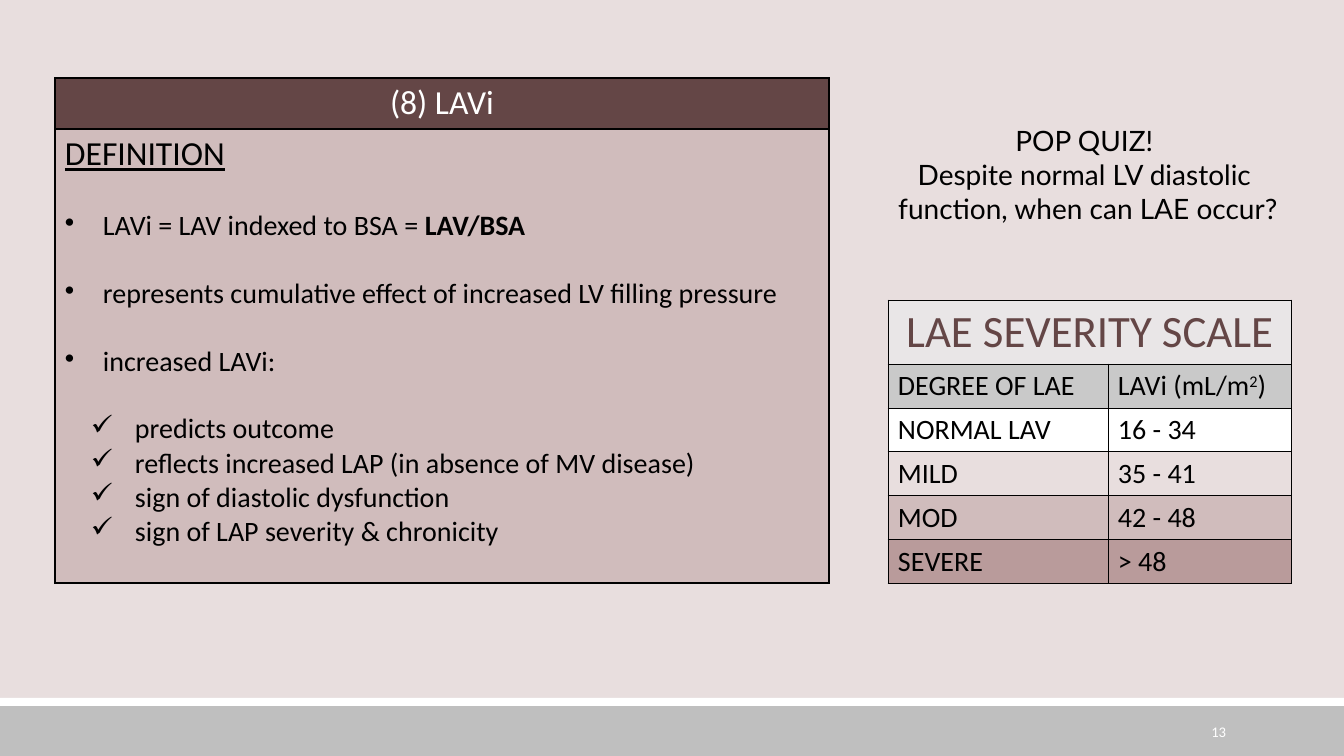
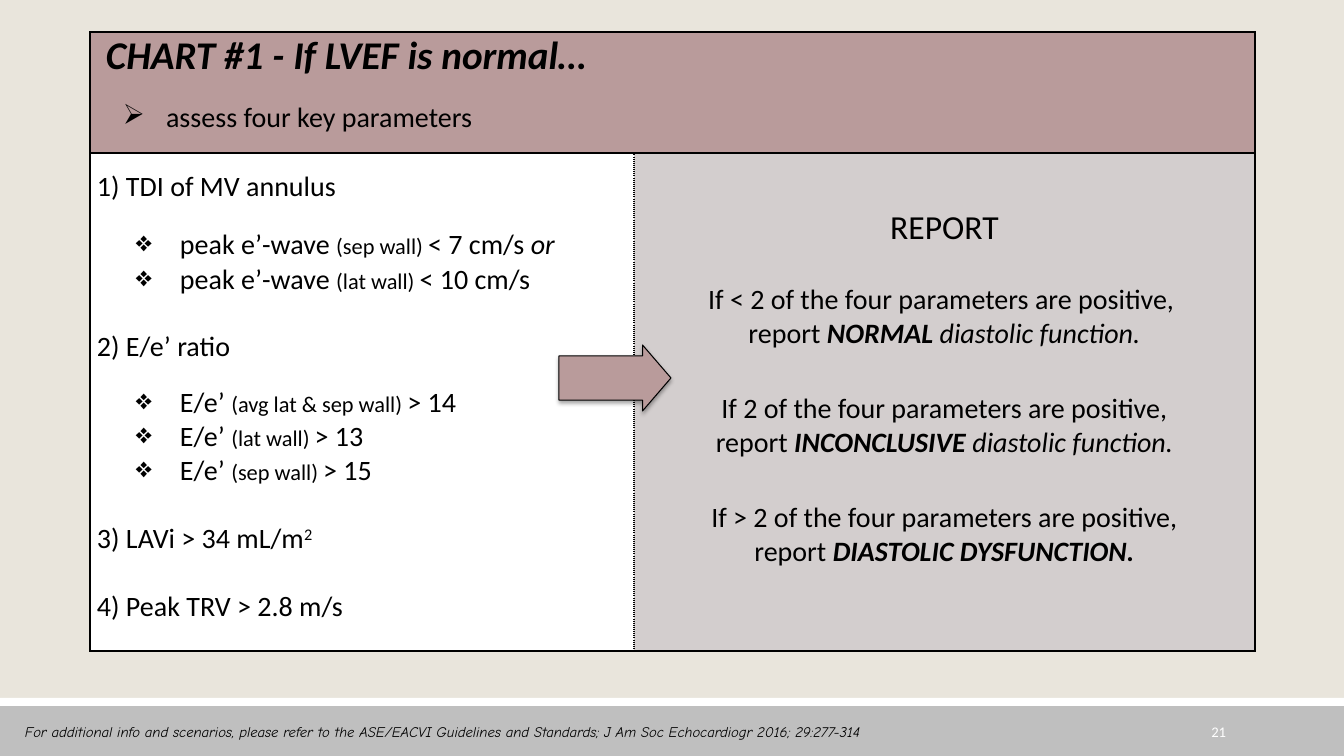
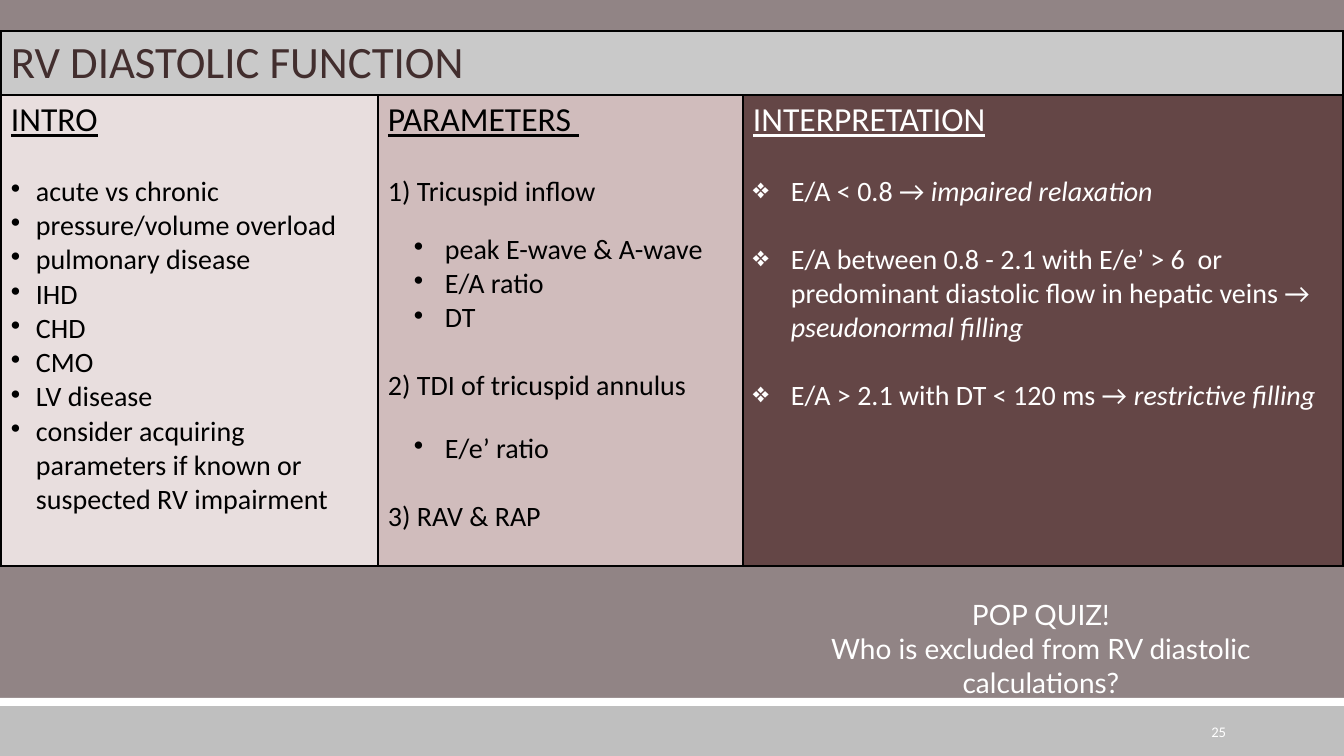
from lxml import etree
from pptx import Presentation
from pptx.dml.color import RGBColor
from pptx.enum.shapes import MSO_SHAPE
from pptx.enum.text import MSO_ANCHOR, PP_ALIGN
from pptx.oxml.ns import qn
from pptx.util import Emu, Pt

RECT = MSO_SHAPE.RECTANGLE
ARROW = MSO_SHAPE.RIGHT_ARROW
MIDDLE = MSO_ANCHOR.MIDDLE
CENTER = PP_ALIGN.CENTER
RIGHT = PP_ALIGN.RIGHT

SCALE = 914400 / 100.8
WIDTH, HEIGHT = 1344, 756
LINE_HEIGHT = 1.22
SMALL = {"size": 16}
BOLD = {"bold": True}
ITALIC = {"italic": True}
BOLD_ITALIC = {"bold": True, "italic": True}
SUPER = {"baseline": 30000}

C = {
    "black": "000000",
    "white": "FFFFFF",
    "band": "BFBFBF",
    "silver": "C9C9C9",
    "pale": "E9E6E7",
    "report": "D3CECE",
    "blush": "E8DEDE",
    "rose": "D0BCBC",
    "mauve": "B99B9B",
    "wine": "644646",
    "dark": "422E2E",
    "sand": "E9E5DC",
    "taupe": "918485",
}


def px(n):
    return Emu(round(n * SCALE))


def rgb(name):
    return RGBColor.from_string(C[name])


def add_xml(parent, tag, **attrs):
    el = etree.SubElement(parent, qn(tag))
    for key, value in attrs.items():
        el.set(key, str(value))
    return el


def add_text(tf, text, size=20, color="black", font="Calibri", align=None,
             bullet=None, left=0, hang=0, gap=0, **style):
    p = tf.paragraphs[0]
    if p.runs:
        p = tf.add_paragraph()
    pPr = p._p.get_or_add_pPr()
    pPr.set("marL", str(px(left)))
    pPr.set("indent", str(-px(hang)))
    if bullet:
        add_xml(pPr, "a:buChar", char=bullet)
    if align is not None:
        p.alignment = align
    if gap:
        p.space_before = Pt(round(gap * LINE_HEIGHT))
    for part in [text] if isinstance(text, str) else text:
        words, extra = (part, {}) if isinstance(part, str) else part
        fmt = {"size": size, **style, **extra}
        r = p.add_run()
        r.text = words
        r.font.name = font
        r.font.size = Pt(fmt["size"])
        r.font.color.rgb = rgb(color)
        r.font.bold = fmt.get("bold", False)
        r.font.italic = fmt.get("italic", False)
        r.font.underline = fmt.get("underline", False)
        if "baseline" in fmt:
            r._r.get_or_add_rPr().set("baseline", str(fmt["baseline"]))


def add_items(tf, items, gap=0, **fmt):
    for i, item in enumerate(items):
        add_text(tf, item, gap=0 if i else gap, **fmt)


def add_box(s, x, y, w, h):
    tf = s.shapes.add_textbox(px(x), px(y), px(w), px(h)).text_frame
    tf.word_wrap = True
    return tf


def add_rect(s, y, h, color):
    sp = s.shapes.add_shape(RECT, 0, px(y), px(WIDTH), px(h))
    sp.shadow.inherit = False
    sp.fill.solid()
    sp.fill.fore_color.rgb = rgb(color)
    sp.line.fill.background()


def add_base(prs, background, number):
    s = prs.slides.add_slide(prs.slide_layouts[6])
    s.background.fill.solid()
    s.background.fill.fore_color.rgb = rgb(background)
    add_rect(s, 706, 50, "band")
    add_rect(s, 698, 8, "white")
    tf = add_box(s, 1092, 712, 144, 40)
    tf.vertical_anchor = MIDDLE
    add_text(tf, number, size=10.5, color="white", align=RIGHT)
    return s


def add_border(cell, width=1, dotted=""):
    tcPr = cell._tc.get_or_add_tcPr()
    for side in "LRTB":
        is_dotted = side == dotted
        ln = add_xml(tcPr, "a:ln" + side, w=Pt(2.25 if is_dotted else width))
        add_xml(add_xml(ln, "a:solidFill"), "a:srgbClr", val=C["black"])
        add_xml(ln, "a:prstDash", val="sysDot" if is_dotted else "solid")


def add_grid(s, x, y, cols, rows, fills, border=1, margins=(10, 5), dotted=None):
    table = s.shapes.add_table(len(rows), len(cols), px(x), px(y),
                               px(sum(cols)), px(sum(rows))).table
    table.first_row = table.horz_banding = False
    for col, w in zip(table.columns, cols):
        col.width = px(w)
    for row, h in zip(table.rows, rows):
        row.height = px(h)
    for i, row_fills in enumerate(fills):
        for j in range(len(cols)):
            cell = table.cell(i, j)
            add_border(cell, border, (dotted or {}).get((i, j), ""))
            cell.fill.solid()
            cell.fill.fore_color.rgb = rgb(row_fills[j % len(row_fills)])
            cell.margin_left = cell.margin_right = px(margins[0])
            cell.margin_top = cell.margin_bottom = px(margins[1])
    if len(cols) > 1:
        table.cell(0, 0).merge(table.cell(0, len(cols) - 1))
    return table


def add_arrow(s, x, y, w, h):
    sp = s.shapes.add_shape(ARROW, px(x), px(y), px(w), px(h))
    sp.adjustments[0], sp.adjustments[1] = 0.67, 0.43
    sp.fill.solid()
    sp.fill.fore_color.rgb = rgb("mauve")
    sp.line.color.rgb = rgb("black")
    sp.line.width = Pt(0.75)
    sp.shadow.inherit = False
    effects = sp._element.spPr.find(qn("a:effectLst"))
    shadow = add_xml(effects, "a:outerShdw", blurRad=Pt(3.1), dist=Pt(1.8),
                     dir=5400000, rotWithShape=0)
    color = add_xml(shadow, "a:srgbClr", val=C["black"])
    add_xml(color, "a:alpha", val=35000)


def build_lavi(prs):
    s = add_base(prs, "blush", "13")
    table = add_grid(s, 55, 78, [774], [51, 454], [["wine"], ["rose"]])
    add_text(table.cell(0, 0).text_frame, "(8) LAVi", size=24, color="white",
             align=CENTER)
    tf = table.cell(1, 0).text_frame
    add_text(tf, "DEFINITION", size=24, underline=True)
    for item in (
        ["LAVi = LAV indexed to BSA = ", ("LAV/BSA", BOLD)],
        "represents cumulative effect of increased LV filling pressure",
        "increased LAVi:",
    ):
        add_text(tf, item, bullet="•", left=38, hang=38, gap=20)
    add_items(tf, [
        "predicts outcome",
        "reflects increased LAP (in absence of MV disease)",
        "sign of diastolic dysfunction",
        "sign of LAP severity & chronicity",
    ], gap=20, bullet="✓", left=70, hang=44)

    scale = [
        ("DEGREE OF LAE", ["LAVi (mL/m", ("2", SUPER), ")"], "silver"),
        ("NORMAL LAV", "16 - 34", "white"),
        ("MILD", "35 - 41", "blush"),
        ("MOD", "42 - 48", "rose"),
        ("SEVERE", "> 48", "mauve"),
    ]
    fills = [["pale"]] + [[fill] for _, _, fill in scale]
    table = add_grid(s, 888, 300, [220, 184], [64] + [44] * len(scale), fills,
                     border=0.75)
    add_text(table.cell(0, 0).text_frame, "LAE SEVERITY SCALE", size=32,
             color="wine", align=CENTER)
    for i, (degree, value, _) in enumerate(scale, 1):
        add_text(table.cell(i, 0).text_frame, degree)
        add_text(table.cell(i, 1).text_frame, value)

    add_items(add_box(s, 888, 119, 400, 112), [
        "POP QUIZ! ",
        "Despite normal LV diastolic ",
        "function, when can LAE occur?",
    ], font="Lato", align=CENTER)


def build_chart_one(prs):
    s = add_base(prs, "sand", "21")
    table = add_grid(s, 90, 32, [544, 621], [121, 498],
                     [["mauve"], ["white", "report"]], margins=(7, 0),
                     dotted={(1, 0): "R", (1, 1): "L"})
    tf = table.cell(0, 0).text_frame
    add_text(tf, "CHART #1 - If LVEF is normal…", size=28, left=9, **BOLD_ITALIC)
    add_text(tf, "assess four key parameters", bullet="➢", left=69, hang=43, gap=12)

    parameters = table.cell(1, 0)
    parameters.margin_top = px(17)
    tf = parameters.text_frame
    criteria = {"bullet": "❖", "left": 83, "hang": 44}
    add_text(tf, "1) TDI of MV annulus")
    add_items(tf, [
        ["peak e’-wave ", ("(sep wall) ", SMALL), "< 7 cm/s ", ("or", ITALIC)],
        ["peak e’-wave ", ("(lat wall) ", SMALL), "< 10 cm/s"],
    ], gap=14, **criteria)
    add_text(tf, "2) E/e’ ratio", gap=20)
    add_items(tf, [
        ["E/e’ ", (f"({wall}) ", SMALL), f"> {limit}"]
        for wall, limit in (("avg lat & sep wall", 14), ("lat wall", 13),
                            ("sep wall", 15))
    ], gap=12, **criteria)
    add_text(tf, ["3) LAVi > 34 mL/m", ("2", SUPER)], gap=20)
    add_text(tf, "4) Peak TRV > 2.8 m/s", gap=20)

    report = table.cell(1, 1)
    report.margin_top = px(55)
    tf = report.text_frame
    add_text(tf, "REPORT", size=24, align=CENTER)
    for condition, verdict, ending, gap in (
        ("If < 2 of the four parameters are positive, ", "NORMAL ",
         "diastolic function.", 20),
        ("If 2 of the four parameters are positive,", "INCONCLUSIVE ",
         "diastolic function.", 24),
        ("If > 2 of the four parameters are positive,",
         "DIASTOLIC DYSFUNCTION.", "", 24),
    ):
        outcome = ["report ", (verdict, BOLD_ITALIC)]
        if ending:
            outcome.append((ending, ITALIC))
        add_items(tf, [condition, outcome], gap=gap, align=CENTER)

    add_arrow(s, 559, 345, 112, 66)
    add_text(add_box(s, 15, 718, 1014, 29),
             "For additional info and scenarios, please refer to the ASE/EACVI "
             "Guidelines and Standards; J Am Soc Echocardiogr 2016; 29:277-314",
             size=10.5, font="Comic Neue", italic=True)


def build_rv_function(prs):
    s = add_base(prs, "taupe", "25")
    table = add_grid(s, 1, 31, [377, 365, 600], [64, 471],
                     [["silver"], ["blush", "rose", "wine"]])
    add_text(table.cell(0, 0).text_frame, "RV DIASTOLIC FUNCTION", size=32,
             color="dark")
    intro, parameters, interpretation = (
        table.cell(1, j).text_frame for j in range(3))
    for tf, heading, color in (
        (intro, "INTRO", "black"),
        (parameters, "PARAMETERS ", "black"),
        (interpretation, "INTERPRETATION", "white"),
    ):
        add_text(tf, heading, size=24, color=color, underline=True)

    add_items(intro, [
        "acute vs chronic",
        "pressure/volume overload",
        "pulmonary disease",
        "IHD",
        "CHD",
        "CMO",
        "LV disease",
        "consider acquiring parameters if known or suspected RV impairment",
    ], gap=20, bullet="•", left=25, hang=25)

    for heading, items, gap in (
        ("1) Tricuspid inflow", ["peak E-wave & A-wave", "E/A ratio", "DT"], 14),
        ("2) TDI of tricuspid annulus", ["E/e’ ratio"], 16),
        ("3) RAV & RAP", [], 0),
    ):
        add_text(parameters, heading, gap=20)
        add_items(parameters, items, gap=gap, bullet="•", left=57, hang=31)

    for finding, meaning in (
        ("E/A < 0.8 → ", "impaired relaxation"),
        ("E/A between 0.8 - 2.1 with E/e’ > 6  or predominant diastolic flow "
         "in hepatic veins → ", "pseudonormal filling"),
        ("E/A > 2.1 with DT < 120 ms → ", "restrictive filling"),
    ):
        add_text(interpretation, [finding, (meaning, ITALIC)], color="white",
                 bullet="❖", left=38, hang=38, gap=20)

    add_items(add_box(s, 743, 593, 596, 78), [
        "POP QUIZ!",
        "Who is excluded from RV diastolic calculations?",
    ], font="Lato", color="white", align=CENTER)


def main():
    prs = Presentation()
    prs.slide_width = px(WIDTH)
    prs.slide_height = px(HEIGHT)
    build_lavi(prs)
    build_chart_one(prs)
    build_rv_function(prs)
    prs.save("out.pptx")


if __name__ == "__main__":
    main()
